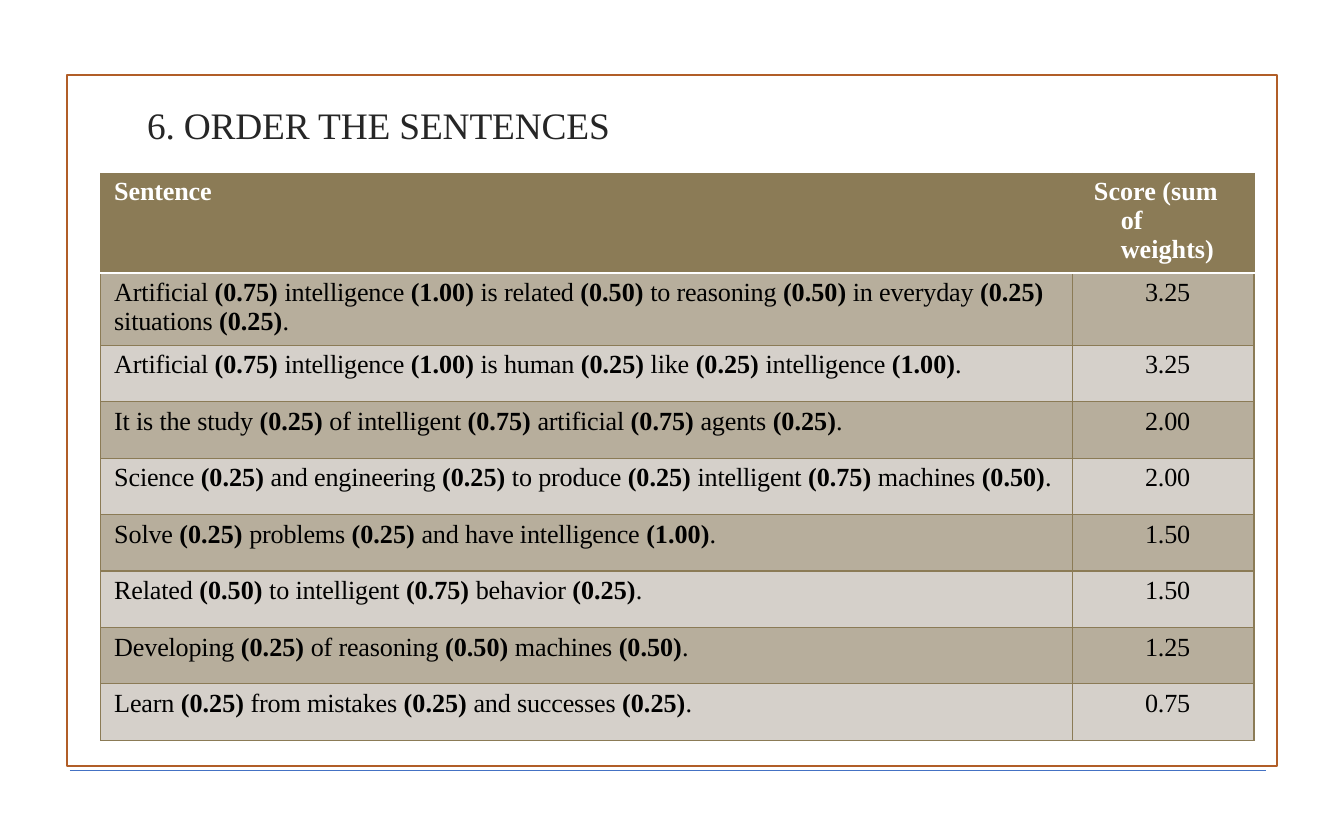
from dataclasses import dataclass

from lxml.etree import SubElement
from pptx import Presentation
from pptx.dml.color import RGBColor
from pptx.enum.shapes import MSO_CONNECTOR as Connector, MSO_SHAPE as Shape
from pptx.enum.text import MSO_ANCHOR as Anchor, PP_ALIGN as Align
from pptx.oxml.ns import qn
from pptx.util import Inches, Pt

FONT = "Times New Roman"
WHITE = RGBColor(0xFF, 0xFF, 0xFF)
BLACK = RGBColor(0x00, 0x00, 0x00)
TITLE_GREY = RGBColor(0x26, 0x26, 0x26)
FRAME_ORANGE = RGBColor(0xB1, 0x5E, 0x28)
RULE_BLUE = RGBColor(0x44, 0x72, 0xC4)
OLIVE = RGBColor(0x8B, 0x7B, 0x56)
DARK_BAND = RGBColor(0xB7, 0xAE, 0x9C)
LIGHT_BAND = RGBColor(0xD5, 0xD0, 0xCA)


@dataclass(frozen=True)
class Term:
    words: str
    weight: float


@dataclass(frozen=True)
class Sentence:
    lines: tuple[tuple[Term, ...], ...]

    @property
    def score(self) -> float:
        return sum(term.weight for line in self.lines for term in line)


def sentence(*lines: list[tuple[str, float]]) -> Sentence:
    return Sentence(tuple(tuple(Term(*pair) for pair in line) for line in lines))


SENTENCES = [
    sentence([("Artificial", 0.75), ("intelligence", 1), ("is related", 0.5),
              ("to reasoning", 0.5), ("in everyday", 0.25)],
             [("situations", 0.25)]),
    sentence([("Artificial", 0.75), ("intelligence", 1), ("is human", 0.25),
              ("like", 0.25), ("intelligence", 1)]),
    sentence([("It is the study", 0.25), ("of intelligent", 0.75),
              ("artificial", 0.75), ("agents", 0.25)]),
    sentence([("Science", 0.25), ("and engineering", 0.25), ("to produce", 0.25),
              ("intelligent", 0.75), ("machines", 0.5)]),
    sentence([("Solve", 0.25), ("problems", 0.25), ("and have intelligence", 1)]),
    sentence([("Related", 0.5), ("to intelligent", 0.75), ("behavior", 0.25)]),
    sentence([("Developing", 0.25), ("of reasoning", 0.5), ("machines", 0.5)]),
    sentence([("Learn", 0.25), ("from mistakes", 0.25), ("and successes", 0.25)]),
]


def add_span(para, text: str, color: RGBColor, size: float = 14,
             bold: bool = False, tracking: float = 0) -> None:
    span = para.add_run()
    span.text = text
    span.font.name, span.font.size, span.font.bold = FONT, Pt(size), bold
    span.font.color.rgb = color
    if tracking:
        span._r.get_or_add_rPr().set("spc", str(round(tracking * 100)))


def indent(para, left: float, first: float = 0, right: float = 0,
           before: float = 2.6) -> None:
    """Set paragraph indents in inches and the space before in points."""
    properties = para._p.get_or_add_pPr()
    for name, length in (("marL", left), ("indent", first), ("marR", right)):
        properties.set(name, str(Inches(length)))
    para.space_before = Pt(before)


def add_border(cell, side: str, color: RGBColor, width: float) -> None:
    line = SubElement(cell._tc.get_or_add_tcPr(), qn(f"a:ln{side}"), w=str(Pt(width)))
    SubElement(SubElement(line, qn("a:solidFill")), qn("a:srgbClr"), val=str(color))


def style_cell(cell, row: int) -> None:
    cell.margin_left = cell.margin_right = cell.margin_bottom = 0
    cell.margin_top = Inches(0.04 if row else 0.03)
    white_side = {0: "B", 1: "T"}.get(row)
    for side in "LRTB":
        if side == white_side:
            add_border(cell, side, WHITE, 1.25)
        else:
            add_border(cell, side, OLIVE, 0.75)
    cell.fill.solid()
    band = DARK_BAND if row % 2 else LIGHT_BAND
    cell.fill.fore_color.rgb = band if row else OLIVE


def write_sentence(cell, entry: Sentence) -> None:
    frame = cell.text_frame
    for number, line in enumerate(entry.lines):
        para = frame.add_paragraph() if number else frame.paragraphs[0]
        indent(para, 0.1, before=0.2 if number else 2.6)
        for position, term in enumerate(line, 1):
            gap = " " if position < len(line) else ""
            add_span(para, f"{term.words} ", BLACK, tracking=-0.1)
            add_span(para, f"({term.weight:.2f}){gap}", BLACK, bold=True)
    add_span(para, ".", BLACK)


def write_score(cell, score: float) -> None:
    para = cell.text_frame.paragraphs[0]
    indent(para, 0.54)
    add_span(para, f"{score:.2f}", BLACK, tracking=-0.1)


def add_score_table(page) -> None:
    table = page.shapes.add_table(len(SENTENCES) + 1, 2, Inches(0.75), Inches(1.29),
                                  Inches(8.58), Inches(4.2)).table
    for column, width in zip(table.columns, (7.23, 1.35)):
        column.width = Inches(width)
    for number, row in enumerate(table.rows):
        row.height = Inches({0: 0.74, 1: 0.54}.get(number, 0.42))
        for cell in row.cells:
            style_cell(cell, number)

    heading, score_heading = (cell.text_frame.paragraphs[0]
                              for cell in table.rows[0].cells)
    indent(heading, 0.1, before=2.5)
    add_span(heading, "Sentence", WHITE, bold=True, tracking=-0.1)
    indent(score_heading, 0.36, first=-0.2, right=0.2, before=2.3)
    add_span(score_heading, "Score (sum of weights)", WHITE, bold=True)

    for number, entry in enumerate(SENTENCES, 1):
        write_sentence(table.cell(number, 0), entry)
        write_score(table.cell(number, 1), entry.score)


def add_frame(page) -> None:
    frame = page.shapes.add_shape(Shape.RECTANGLE, Inches(0.5), Inches(0.56),
                                  Inches(9), Inches(5.14))
    frame.shadow.inherit = False
    frame.fill.background()
    frame.line.color.rgb = FRAME_ORANGE
    frame.line.width = Pt(1.25)


def add_bottom_rule(page) -> None:
    rule = page.shapes.add_connector(Connector.STRAIGHT, Inches(0.52), Inches(5.73),
                                     Inches(9.42), Inches(5.73))
    rule.line.color.rgb = RULE_BLUE
    rule.line.width = Pt(0.5)
    SubElement(rule._element.spPr, qn("a:effectLst"))


def write_title(page) -> None:
    title = page.shapes.title
    title.left, title.top = Inches(0.08), Inches(0.75)
    title.width, title.height = Inches(5.46), Inches(0.35)
    frame = title.text_frame
    frame.margin_left = frame.margin_right = frame.margin_bottom = 0
    frame.margin_top = Inches(0.01)
    frame.vertical_anchor = Anchor.MIDDLE
    frame.word_wrap = True
    para = frame.paragraphs[0]
    para.alignment = Align.CENTER
    indent(para, 0.01, before=1)
    add_span(para, "6. ORDER THE SENTENCES", TITLE_GREY, size=20, tracking=-0.1)


def main() -> None:
    deck = Presentation()
    deck.slide_width, deck.slide_height = Inches(10), Inches(6.25)
    page = deck.slides.add_slide(deck.slide_layouts[5])
    add_frame(page)
    write_title(page)
    add_bottom_rule(page)
    add_score_table(page)
    deck.save("out.pptx")


if __name__ == "__main__":
    main()
